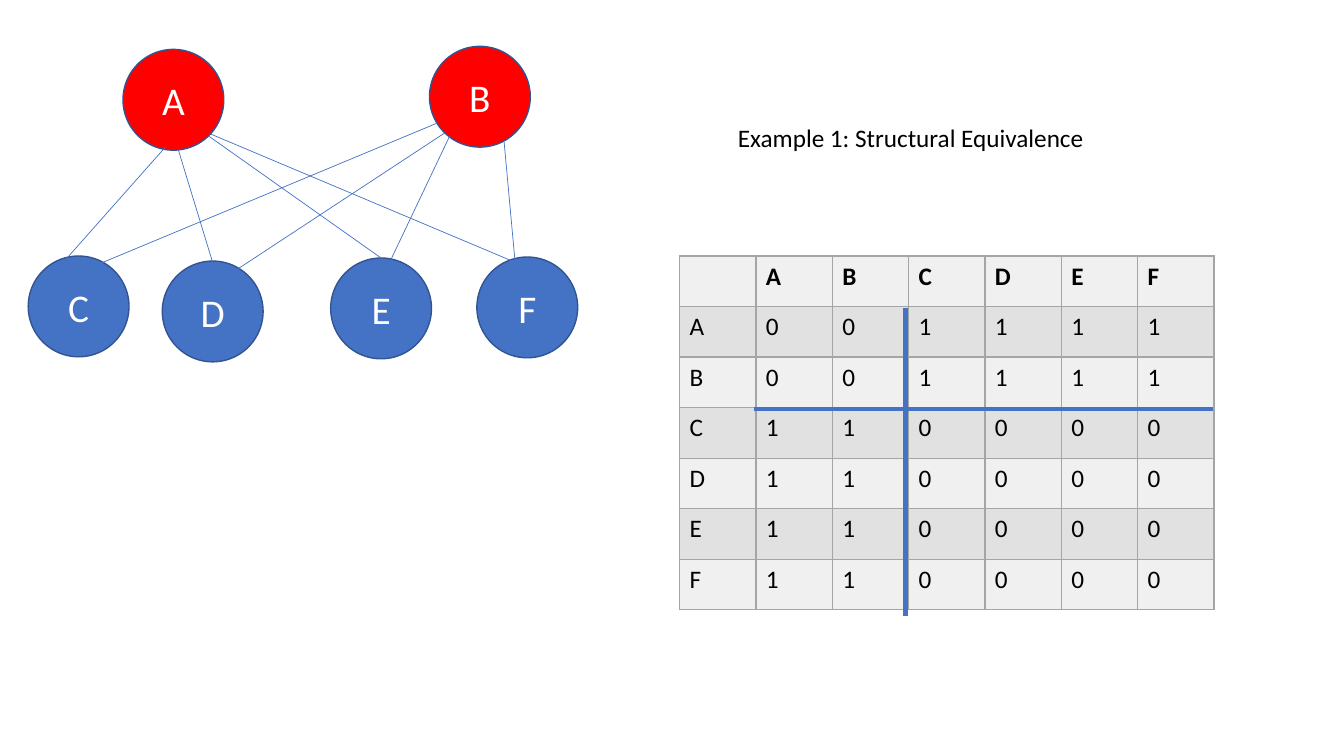
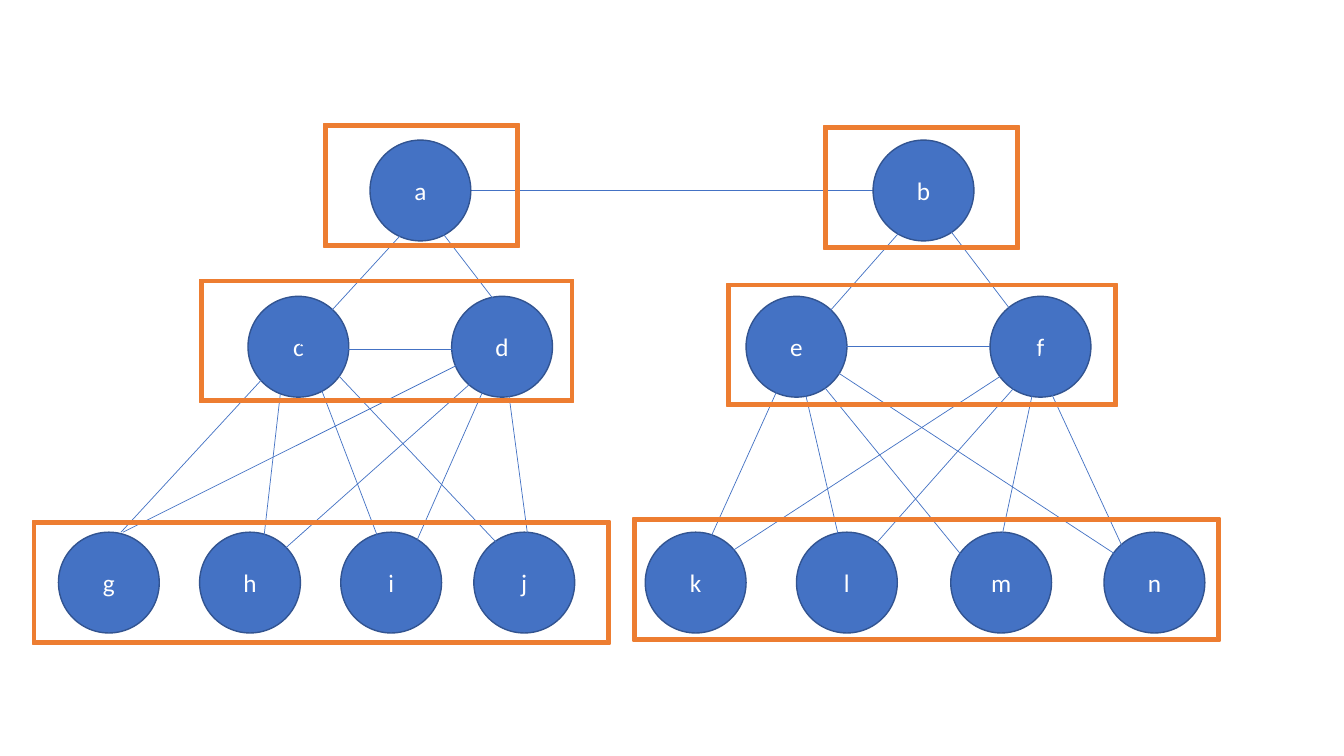
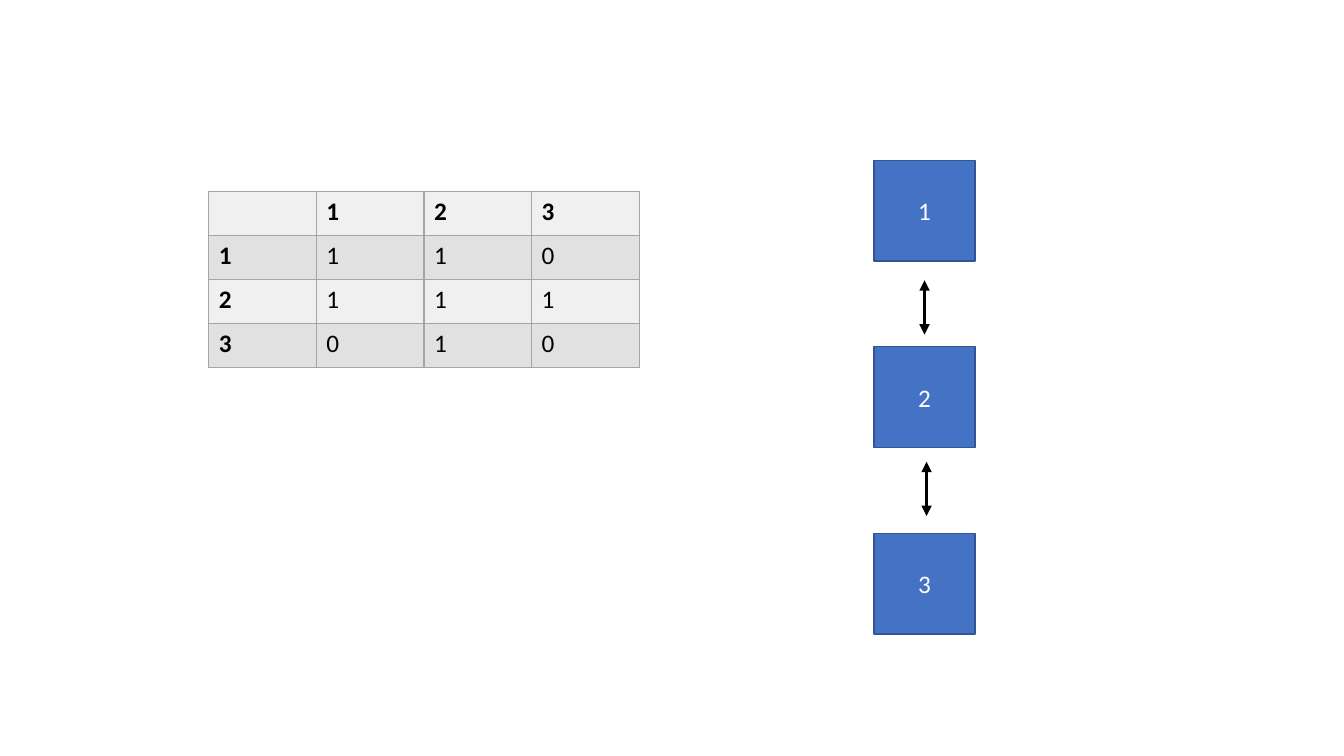
from lxml import etree
from pptx import Presentation
from pptx import util as u
from pptx.dml.color import RGBColor
from pptx.enum import shapes, text
from pptx.oxml.ns import qn

PX = 9144
FONT = "Calibri"
BLUE, NAVY, RED, ORANGE = "4472C4", "325491", "FF0000", "ED7D31"
BLACK, WHITE, GRAY = "000000", "FFFFFF", "A5A5A5"
BANDS = ("F0F0F0", "E1E1E1")
NODE = 100
FRAME_HEIGHT = 122


def px(*lengths):
    """Turn px into EMU."""
    return [round(length * PX) for length in lengths]


def color(value):
    """Turn a hex string into a colour."""
    return RGBColor.from_string(value)


def paint(target, value):
    """Give a fill one solid colour."""
    target.fill.solid()
    target.fill.fore_color.rgb = color(value)


def add_text(paragraph, content, size=18, ink=BLACK, bold=False):
    """Add one run to a paragraph."""
    run = paragraph.add_run()
    run.text = content
    run.font.name = FONT
    run.font.size = u.Pt(size)
    run.font.bold = bold
    run.font.color.rgb = color(ink)


def add_figure(slide, kind, box, fill, outline):
    """Add a preset shape with a thin outline."""
    shape = slide.shapes.add_shape(kind, *px(*box))
    shape.shadow.inherit = False
    paint(shape, fill)
    shape.line.color.rgb = color(outline)
    shape.line.width = u.Pt(1)
    return shape


def add_node(slide, left, top, label, kind=shapes.MSO_SHAPE.OVAL, fill=BLUE, size=18):
    """Add a labelled node."""
    shape = add_figure(slide, kind, (left, top, NODE, NODE), fill, NAVY)
    frame = shape.text_frame
    frame.vertical_anchor = text.MSO_ANCHOR.MIDDLE
    paragraph = frame.paragraphs[0]
    paragraph.alignment = text.PP_ALIGN.CENTER
    add_text(paragraph, label, size, WHITE)


def add_line(slide, ends, ink=BLUE, width=0.5, arrows=False):
    """Add a straight line, with arrowheads at both ends if wanted."""
    line = slide.shapes.add_connector(shapes.MSO_CONNECTOR.STRAIGHT, *px(*ends))
    line.line.color.rgb = color(ink)
    line.line.width = u.Pt(width)
    if arrows:
        for tag in ("a:headEnd", "a:tailEnd"):
            etree.SubElement(line.line._get_or_add_ln(), qn(tag), type="triangle")
    etree.SubElement(line._element.spPr, qn("a:effectLst"))


def add_network(slide, left, top, nodes, links, size=18, red=""):
    """Place nodes and the links between them."""
    for label, (x, y) in nodes.items():
        fill = RED if label in red else BLUE
        add_node(slide, left + x, top + y, label, fill=fill, size=size)
    for x1, y1, x2, y2 in links:
        add_line(slide, (left + x1, top + y1, left + x2, top + y2))


def add_hierarchy(slide, left, top, nodes, links, frames):
    """Place a network whose levels are framed."""
    add_network(slide, left, top, nodes, links)
    for x, y, width in frames:
        box = (left + x, top + y, width, FRAME_HEIGHT)
        frame = add_figure(slide, shapes.MSO_SHAPE.FRAME, box, ORANGE, ORANGE)
        frame.adjustments[0] = 0.027


def add_borders(cell):
    """Draw thin gray lines on all sides of a cell."""
    properties = cell._tc.get_or_add_tcPr()
    for index, side in enumerate(("lnL", "lnR", "lnT", "lnB")):
        line = etree.Element(qn(f"a:{side}"), w=str(u.Pt(1)))
        fill = etree.SubElement(line, qn("a:solidFill"))
        etree.SubElement(fill, qn("a:srgbClr"), val=GRAY)
        properties.insert(index, line)


def add_matrix(slide, box, labels, rows, bold_labels=False):
    """Add a banded adjacency table."""
    count = len(labels) + 1
    table = slide.shapes.add_table(count, count, *px(*box)).table
    for column in table.columns:
        column.width = px(box[2] / count)[0]
    for row in table.rows:
        row.height = px(box[3] / count)[0]
    lines = [" " + labels] + [label + row for label, row in zip(labels, rows)]
    for r, line in enumerate(lines):
        for c, content in enumerate(line):
            cell = table.cell(r, c)
            paint(cell, BANDS[r % 2])
            add_borders(cell)
            if content.strip():
                bold = r == 0 or (bold_labels and c == 0)
                add_text(cell.text_frame.paragraphs[0], content, bold=bold)


def add_caption(slide, box, content):
    """Add a one-line caption."""
    frame = slide.shapes.add_textbox(*px(*box)).text_frame
    frame.word_wrap = False
    frame.auto_size = text.MSO_AUTO_SIZE.SHAPE_TO_FIT_TEXT
    add_text(frame.paragraphs[0], content)


def add_block_chain(slide, left, top, labels, step):
    """Stack square blocks joined by double arrows."""
    for index, label in enumerate(labels):
        y = top + index * step
        add_node(slide, left, y, label, shapes.MSO_SHAPE.RECTANGLE)
    for x, y in ((50, 119), (52, 299)):
        ends = (left + x, top + y, left + x, top + y + 54)
        add_line(slide, ends, BLACK, 2.5, arrows=True)


def build_equivalence(slide):
    """Build the structural equivalence example."""
    nodes = {"A": (94, 3), "B": (398, 0), "D": (133, 213),
             "E": (300, 210), "C": (0, 208), "F": (445, 209)}
    links = [(136, 100, 19, 232), (406, 76, 70, 216), (149, 103, 199, 267),
             (413, 86, 165, 249), (418, 89, 350, 232), (179, 89, 350, 210),
             (472, 95, 484, 226), (181, 87, 480, 213)]
    add_network(slide, 28, 46, nodes, links, size=28, red="AB")
    add_matrix(slide, (674, 254, 530, 351), "ABCDEF", ["001111"] * 2 + ["110000"] * 4)
    for ends in ((748, 406, 1203, 406), (898, 306, 898, 611)):
        add_line(slide, ends, width=3)
    add_caption(slide, (722, 116, 367, 40), "Example 1: Structural Equivalence")


def build_hierarchies(slide):
    """Build the two linked hierarchies."""
    add_line(slide, (467, 189, 866, 189))
    add_hierarchy(
        slide, 32, 123,
        {"a": (335, 16), "c": (214, 171), "d": (416, 171), "g": (26, 405),
         "h": (166, 405), "i": (306, 405), "j": (438, 405)},
        [(406, 66, 264, 221), (406, 107, 496, 224), (230, 251, 88, 405),
         (246, 268, 226, 443), (282, 251, 360, 455), (289, 234, 498, 455),
         (438, 231, 90, 405), (461, 234, 243, 428), (462, 231, 363, 455),
         (470, 248, 496, 443), (289, 224, 438, 224)],
        [(289, 0, 194), (166, 154, 371), (0, 394, 573)])
    add_hierarchy(
        slide, 628, 125,
        {"b": (238, 14), "e": (112, 169), "f": (354, 169), "k": (12, 403),
         "l": (162, 403), "m": (315, 403), "n": (467, 403)},
        [(298, 67, 178, 203), (301, 86, 390, 203), (147, 253, 62, 441),
         (167, 249, 206, 417), (179, 246, 338, 441), (173, 225, 480, 426),
         (380, 238, 73, 438), (397, 238, 234, 422), (406, 219, 355, 457),
         (398, 229, 497, 443), (206, 219, 354, 219)],
        [(189, 0, 194), (93, 156, 387), (0, 389, 582)])


def build_blocks(slide):
    """Build the block matrix and its chain."""
    add_matrix(slide, (207, 190, 427, 175), "123", ["110", "111", "010"], bold_labels=True)
    add_block_chain(slide, 867, 159, "123", 185)


def main():
    """Build and save the presentation."""
    presentation = Presentation()
    presentation.slide_width, presentation.slide_height = u.Inches(13.33), u.Inches(7.5)
    for build in (build_equivalence, build_hierarchies, build_blocks):
        build(presentation.slides.add_slide(presentation.slide_layouts[6]))
    presentation.save("out.pptx")


if __name__ == "__main__":
    main()
